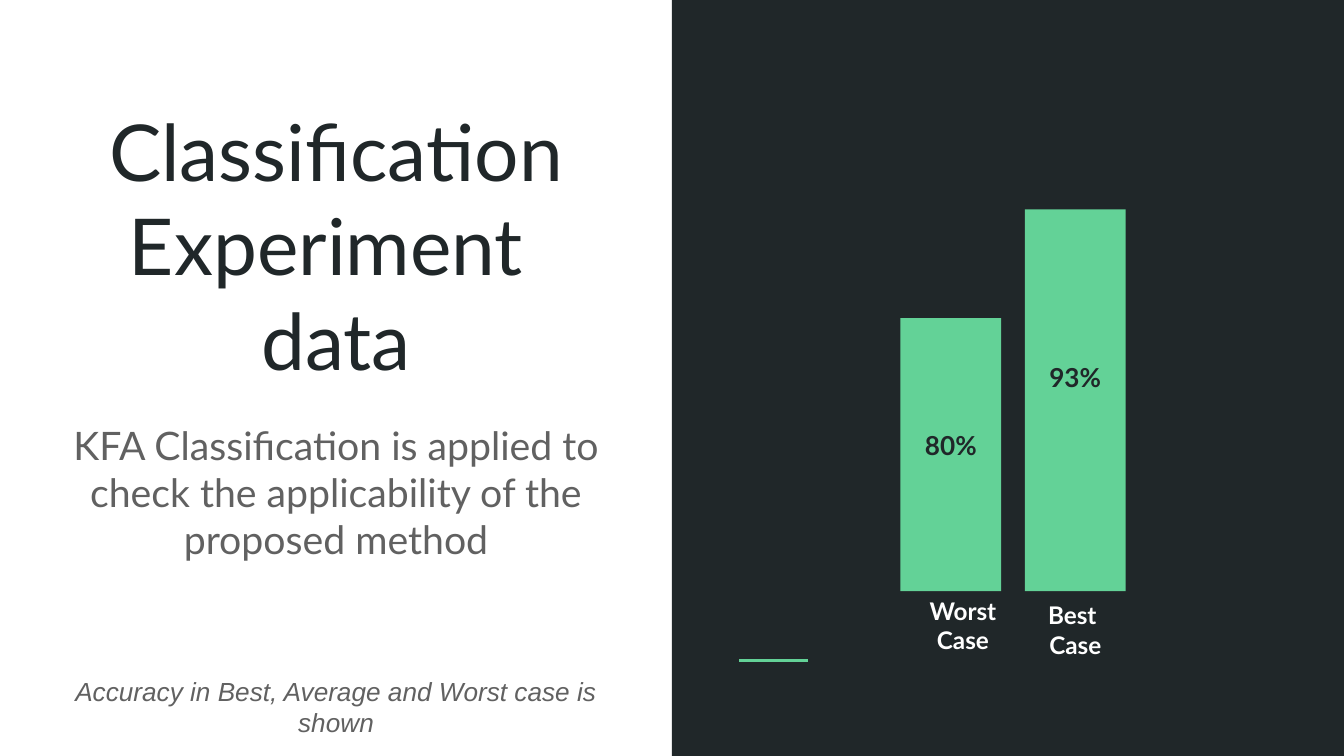
from pptx import Presentation
from pptx.dml.color import RGBColor
from pptx.enum.shapes import MSO_CONNECTOR as CONN, MSO_SHAPE as SHAPE
from pptx.enum.text import MSO_ANCHOR as ANCHOR, PP_ALIGN as ALIGN
from pptx.oxml.ns import qn
from pptx.util import Inches, Pt
from lxml.etree import SubElement

COLORS = {"dark": "202729", "green": "63D297", "grey": "616161", "white": "FFFFFF"}


def rgb(name):
    return RGBColor.from_string(COLORS[name])


def write(tf, text, size=14, color="dark", font="Lato", bold=False, italic=False):
    """Fill a text frame with centred paragraphs, one per line of text."""
    for i, line in enumerate(text.split("\n")):
        p = tf.paragraphs[0] if i == 0 else tf.add_paragraph()
        p.alignment = ALIGN.CENTER
        r = p.add_run()
        r.text = line
        f = r.font
        f.name, f.size, f.bold, f.italic = font, Pt(size), bold, italic
        f.color.rgb = rgb(color)


class Deck:
    """Places elements by percent of the slide's width and height."""

    def __init__(self, width, height):
        self.prs = Presentation()
        self.prs.slide_width, self.prs.slide_height = Inches(width), Inches(height)
        self.s = self.prs.slides.add_slide(self.prs.slide_layouts[6])

    def x(self, share):
        return round(self.prs.slide_width * share / 100)

    def y(self, share):
        return round(self.prs.slide_height * share / 100)

    def box(self, left, top, width, height):
        return self.x(left), self.y(top), self.x(width), self.y(height)

    def rect(self, *place, color):
        sp = self.s.shapes.add_shape(SHAPE.RECTANGLE, *self.box(*place))
        sp.shadow.inherit = False
        sp.fill.solid()
        sp.fill.fore_color.rgb = rgb(color)
        sp.line.fill.background()

    def rule(self, left, right, top, color, weight=1.5):
        ln = self.s.shapes.add_connector(
            CONN.STRAIGHT, self.x(left), self.y(top), self.x(right), self.y(top))
        ln.line.color.rgb = rgb(color)
        ln.line.width = Pt(weight)
        SubElement(ln._element.spPr, qn("a:effectLst"))

    def text(self, *place, text, anchor=ANCHOR.TOP, **style):
        tf = self.s.shapes.add_textbox(*self.box(*place)).text_frame
        tf.word_wrap = True
        tf.vertical_anchor = anchor
        tf.margin_left = tf.margin_right = tf.margin_top = tf.margin_bottom = Inches(0.1)
        write(tf, text, **style)

    def bar(self, left, height, value, base=78.2, width=7.5, label_height=6):
        """A bar standing on the base line, its value a little above the middle."""
        top = base - height
        self.rect(left, top, width, height, color="green")
        self.text(left, top + 0.38 * height, width, label_height, text=value,
                  anchor=ANCHOR.MIDDLE, bold=True)


def main():
    deck = Deck(10, 5.625)
    deck.rect(50, 0, 50, 100, color="dark")
    deck.rule(55, 60.1, 87.4, "green")

    left, width = 2.9, 44.2
    deck.text(left, 23.5, width, 29.3, text="Classification Experiment \ndata",
              anchor=ANCHOR.BOTTOM, size=42)
    deck.text(left, 53.9, width, 26.1, size=21, color="grey",
              text="KFA Classification is applied to check the applicability"
                   " of the proposed method")
    deck.text(left, 87.5, width, 8.7, font="Arial", color="grey", italic=True,
              text="Accuracy in Best, Average and Worst case is shown")

    # bar left, bar height, value, caption, caption width, caption top
    cases = [
        (67, 36.1, "80%", "Worst\nCase", 9.3, 79.7),
        (76.25, 50.5, "93%", "Best \nCase", 7.5, 80.3),
    ]
    for bar_left, height, value, caption, caption_width, caption_top in cases:
        deck.bar(bar_left, height, value)
        deck.text(bar_left, caption_top, caption_width, 6, text=caption,
                  anchor=ANCHOR.MIDDLE, size=13, color="white", bold=True)

    deck.prs.save("out.pptx")


if __name__ == "__main__":
    main()
